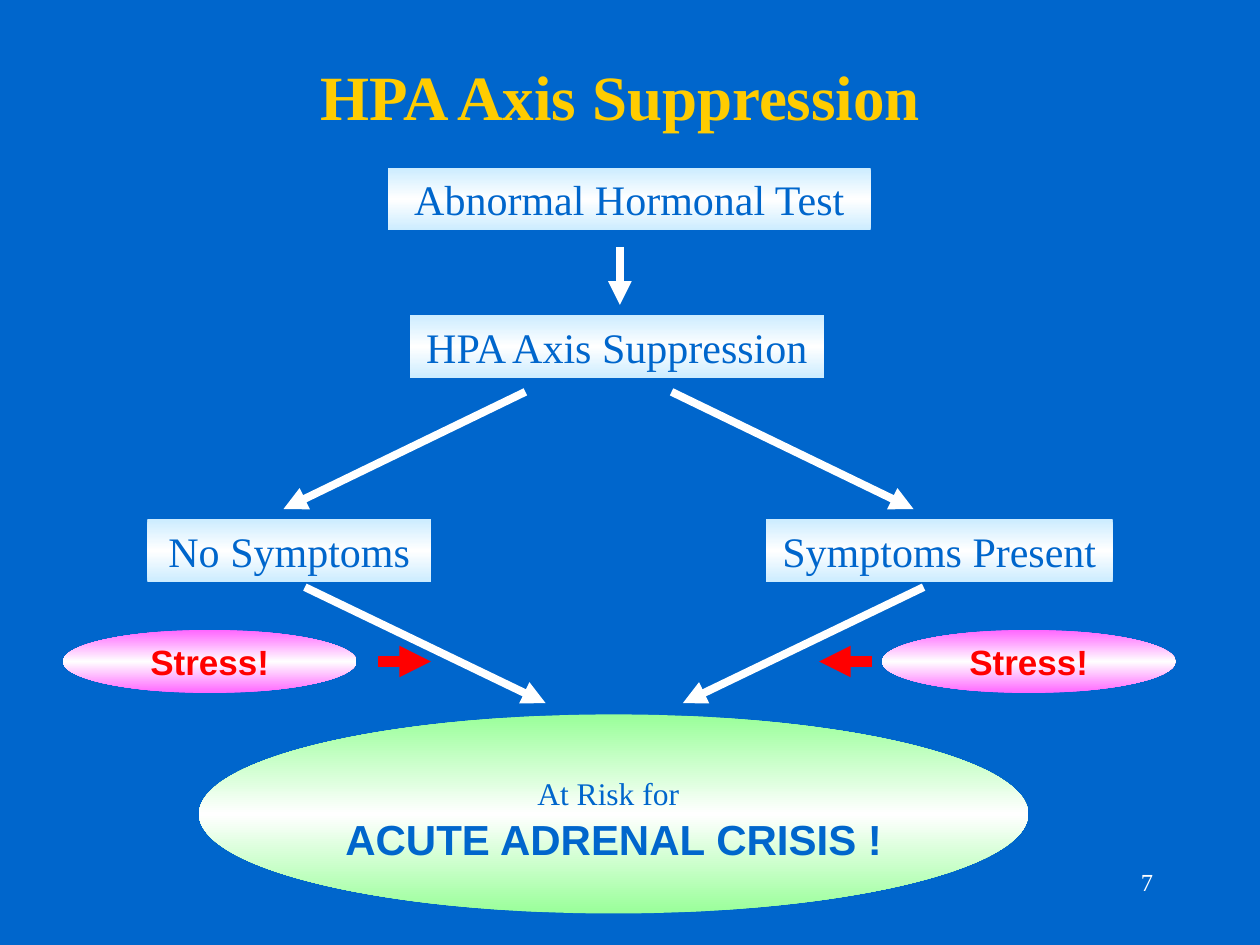
from copy import deepcopy

from lxml.etree import SubElement
from pptx import Presentation
from pptx.dml.color import RGBColor
from pptx.enum.shapes import MSO_CONNECTOR, MSO_SHAPE
from pptx.enum.text import MSO_ANCHOR, MSO_AUTO_SIZE, PP_ALIGN
from pptx.oxml.ns import qn
from pptx.util import Inches, Pt

SERIF = "Times New Roman"
SANS = "Arial"
BLUE = "0066CC"
WHITE = "FFFFFF"
RED = "FF0000"


def rgb(color):
    return RGBColor.from_string(color)


def add_text(paragraph, text, size=24, font=SERIF, color=BLUE, bold=False,
             align=PP_ALIGN.CENTER):
    paragraph.alignment = align
    run = paragraph.add_run()
    run.text = text
    run.font.size = Pt(size)
    run.font.name = font
    run.font.bold = bold
    run.font.color.rgb = rgb(color)


def fill_with_band(shape, edge):
    fill = shape.fill
    fill.gradient()
    fill.gradient_angle = 90
    stops = fill.gradient_stops
    for stop, color, position in zip(stops, (edge, WHITE), (0, 0.5)):
        stop.color.rgb = rgb(color)
        stop.position = position
    stop_list = shape.element.spPr.find(qn("a:gradFill")).find(qn("a:gsLst"))
    last_stop = deepcopy(stop_list[0])
    last_stop.set("pos", "100000")
    stop_list.append(last_stop)


def add_panel(shapes, kind, box, edge, anchor=MSO_ANCHOR.MIDDLE):
    shape = shapes.add_shape(kind, *map(Inches, box))
    shape.shadow.inherit = False
    shape.line.fill.background()
    fill_with_band(shape, edge)
    shape.text_frame.word_wrap = True
    shape.text_frame.vertical_anchor = anchor
    return shape.text_frame


def add_step(shapes, text, left, top, width):
    frame = add_panel(shapes, MSO_SHAPE.RECTANGLE, (left, top, width, 0.5),
                      "CCECFF", MSO_ANCHOR.TOP)
    add_text(frame.paragraphs[0], text)


def add_arrow(shapes, start, end, color=WHITE, width=4.5):
    arrow = shapes.add_connector(MSO_CONNECTOR.STRAIGHT,
                                 *map(Inches, (*start, *end)))
    arrow.line.color.rgb = rgb(color)
    arrow.line.width = Pt(width)
    properties = arrow.element.spPr
    SubElement(properties.find(qn("a:ln")), qn("a:tailEnd"), type="triangle")
    SubElement(properties, qn("a:effectLst"))


def add_stress(slide, left, arrow_from, arrow_to):
    group = slide.shapes.add_group_shape()
    frame = add_panel(group.shapes, MSO_SHAPE.OVAL, (left, 5, 2.33, 0.5), "FF66FF")
    add_text(frame.paragraphs[0], "Stress!", size=20, font=SANS, color=RED, bold=True)
    add_arrow(group.shapes, (arrow_from, 5.25), (arrow_to, 5.25), color=RED, width=6)


def add_title(slide):
    title = slide.shapes.title
    title.left, title.top, title.width, title.height = map(
        Inches, (0.75, 0.42, 8.5, 0.58))
    frame = title.text_frame
    frame.auto_size = MSO_AUTO_SIZE.NONE
    frame.vertical_anchor = MSO_ANCHOR.MIDDLE
    paragraph = frame.paragraphs[0]
    add_text(paragraph, "HPA Axis Suppression", size=36, color="FFCC00", bold=True)
    add_text(paragraph, " ", size=44, color="FFFF00")


def add_outcome(shapes):
    frame = add_panel(shapes, MSO_SHAPE.OVAL, (1.58, 5.67, 6.58, 1.58), "99FF99")
    lead = frame.paragraphs[0]
    add_text(lead, "At Risk for", size=18)
    add_text(lead, " ")
    add_text(frame.add_paragraph(), "ACUTE ADRENAL CRISIS !", font=SANS, bold=True)


def add_page_number(shapes):
    box = shapes.add_textbox(*map(Inches, (7.17, 6.83, 2.08, 0.5)))
    box.text_frame.word_wrap = True
    add_text(box.text_frame.paragraphs[0], "7", size=14, color=WHITE,
             align=PP_ALIGN.RIGHT)


def main():
    presentation = Presentation()
    presentation.slide_width = Inches(10)
    presentation.slide_height = Inches(7.5)
    slide = presentation.slides.add_slide(presentation.slide_layouts[5])
    slide.background.fill.solid()
    slide.background.fill.fore_color.rgb = rgb(BLUE)
    shapes = slide.shapes

    add_title(slide)
    for step in (
        ("Abnormal Hormonal Test", 3.08, 1.33, 3.83),
        ("HPA Axis Suppression", 3.25, 2.5, 3.29),
        ("No Symptoms", 1.17, 4.12, 2.25),
        ("Symptoms Present", 6.08, 4.12, 2.75),
    ):
        add_step(shapes, *step)
    for start, end in (
        ((4.92, 1.96), (4.92, 2.42)),
        ((4.17, 3.11), (2.25, 4.04)),
        ((5.33, 3.11), (7.25, 4.04)),
        ((7.33, 4.66), (5.42, 5.58)),
        ((2.42, 4.66), (4.33, 5.58)),
    ):
        add_arrow(shapes, start, end)
    add_outcome(shapes)
    add_stress(slide, 7, 6.92, 6.5)
    add_stress(slide, 0.5, 3, 3.42)
    add_page_number(shapes)
    presentation.save("out.pptx")


if __name__ == "__main__":
    main()
